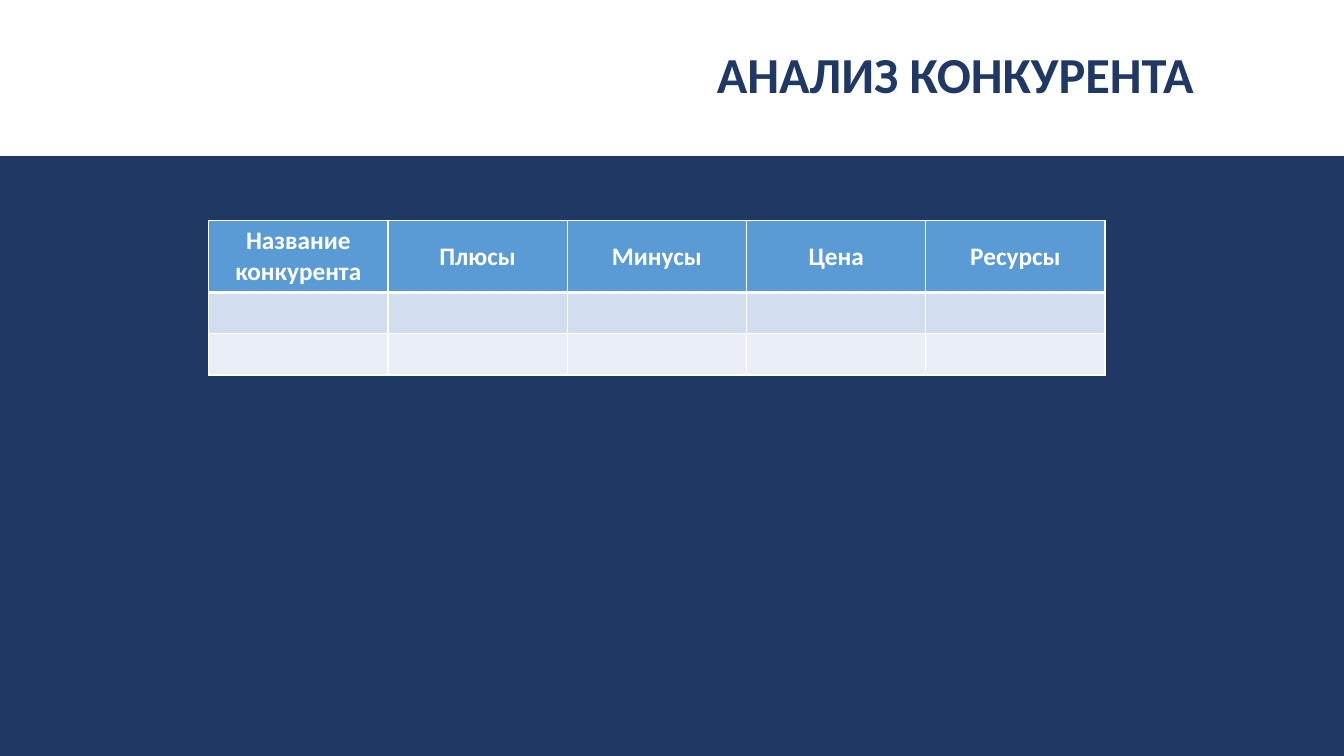
from lxml.etree import SubElement
from pptx import Presentation
from pptx.dml.color import RGBColor
from pptx.enum.shapes import MSO_SHAPE as Shape
from pptx.enum.text import MSO_ANCHOR as Anchor, PP_ALIGN as Align
from pptx.oxml.ns import qn
from pptx.util import Inches, Pt

NAVY = RGBColor(0x20, 0x38, 0x64)
BLUE = RGBColor(0x5B, 0x9B, 0xD5)
BAND_DARK = RGBColor(0xD2, 0xDE, 0xEF)
BAND_LIGHT = RGBColor(0xEA, 0xEF, 0xF7)
WHITE = RGBColor(0xFF, 0xFF, 0xFF)

HEADINGS = ["Название конкурента", "Плюсы", "Минусы", "Цена", "Ресурсы"]
ROW_FILLS = [BLUE, BAND_DARK, BAND_LIGHT]
ROW_HEIGHTS = [0.69, 0.41, 0.41]


class SlideBuilder:
    """Holds the text style and the current slide."""

    font_name = "Calibri"

    def __init__(self, deck):
        self.page = deck.slides.add_slide(deck.slide_layouts[5])

    def style(self, paragraph, size, color, align):
        paragraph.alignment = align
        font = paragraph.font
        font.name, font.size, font.bold = self.font_name, Pt(size), True
        font.color.rgb = color

    def title(self, text, left, top, width, height):
        box = self.page.shapes.title
        box.left, box.top = Inches(left), Inches(top)
        box.width, box.height = Inches(width), Inches(height)
        frame = box.text_frame
        frame.text = text
        frame.word_wrap = False
        frame.vertical_anchor = Anchor.TOP
        self.style(frame.paragraphs[0], 36, NAVY, Align.LEFT)

    def panel(self, left, top, width, height, color):
        box = self.page.shapes.add_shape(
            Shape.RECTANGLE, Inches(left), Inches(top), Inches(width), Inches(height))
        box.shadow.inherit = False
        box.fill.solid()
        box.fill.fore_color.rgb = color
        box.line.fill.background()

    def border(self, cell, side, points):
        line = SubElement(cell._tc.get_or_add_tcPr(), qn(f"a:ln{side}"), w=str(Pt(points)))
        fill = SubElement(line, qn("a:solidFill"))
        SubElement(fill, qn("a:srgbClr"), val=str(WHITE))

    def table(self, left, top, width):
        table = self.page.shapes.add_table(
            len(ROW_FILLS), len(HEADINGS), Inches(left), Inches(top),
            Inches(width), Inches(sum(ROW_HEIGHTS))).table
        for row, (color, height) in enumerate(zip(ROW_FILLS, ROW_HEIGHTS)):
            table.rows[row].height = Inches(height)
            for column, heading in enumerate(HEADINGS):
                cell = table.cell(row, column)
                # Thick rule between the header and the first body row
                weights = {"L": 1, "R": 1, "T": 3 if row == 1 else 1, "B": 3 if row == 0 else 1}
                for side, points in weights.items():
                    self.border(cell, side, points)
                cell.fill.solid()
                cell.fill.fore_color.rgb = color
                if row == 0:
                    cell.text = heading
                    cell.vertical_anchor = Anchor.MIDDLE
                    self.style(cell.text_frame.paragraphs[0], 18, WHITE, Align.CENTER)


def main():
    deck = Presentation()
    deck.slide_width, deck.slide_height = Inches(13.33), Inches(7.5)
    builder = SlideBuilder(deck)

    # Background panel and heading
    builder.panel(0, 1.55, 13.33, 5.95, NAVY)
    builder.title("АНАЛИЗ КОНКУРЕНТА", 7.01, 0.38, 4.99, 0.71)

    # Competitor table
    builder.table(2.07, 2.19, 8.89)

    deck.save("out.pptx")


if __name__ == "__main__":
    main()
